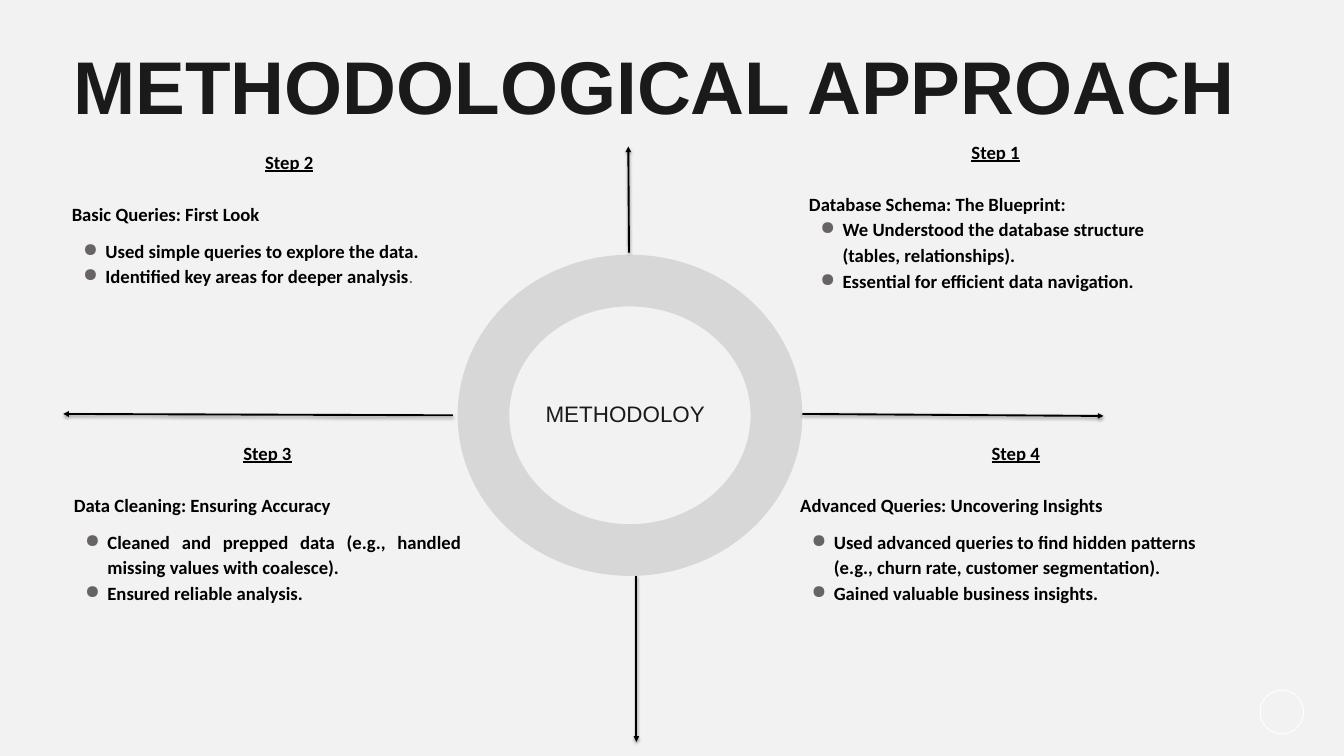
import dataclasses

import lxml.etree
import pptx
import pptx.dml.color
import pptx.enum.shapes
import pptx.enum.text
import pptx.oxml
import pptx.oxml.ns
import pptx.shapes.autoshape
import pptx.shapes.connector
import pptx.slide
import pptx.text.text
import pptx.util

RGBColor = pptx.dml.color.RGBColor
BACKGROUND = RGBColor(0xF2, 0xF2, 0xF2)
BLACK = RGBColor(0, 0, 0)
WHITE = RGBColor(0xFF, 0xFF, 0xFF)
HEADING = RGBColor(0x1A, 0x1A, 0x1A)
GREY = RGBColor(0x69, 0x64, 0x64)

ALIGN = pptx.enum.text.PP_ALIGN
SHAPE = pptx.enum.shapes.MSO_SHAPE
CELL = pptx.util.Inches(0.25)  # The slide is a grid of 80 columns and 45 rows
COLUMNS, ROWS = 80, 45
LINE_SPACING = 1.15
BLANK_LINE = 28


@dataclasses.dataclass(frozen=True)
class Box:
    column: float
    row: float
    columns: float
    rows: float

    def lengths(self) -> list[int]:
        return [round(value * CELL) for value in dataclasses.astuple(self)]


@dataclasses.dataclass(frozen=True)
class Step:
    box: Box
    name: str
    heading: str
    bullets: tuple[str, ...]
    align: ALIGN = ALIGN.LEFT
    bullet_gap: float = 12
    grey_ending: str = ""


@dataclasses.dataclass(frozen=True)
class Arrow:
    start: tuple[float, float]
    end: tuple[float, float]


STEPS = (
    Step(Box(47.24, 25.68, 26.44, 13.24), "Step 4", "Advanced Queries: Uncovering Insights",
         ("Used advanced queries to find hidden patterns (e.g., churn rate, customer segmentation).",
          "Gained valuable business insights.")),
    Step(Box(4, 25.68, 23.84, 12.36), "Step 3", "Data Cleaning: Ensuring Accuracy",
         ("Cleaned and prepped data (e.g., handled missing values with coalesce).",
          "Ensured reliable analysis."), align=ALIGN.JUSTIFY),
    Step(Box(3.88, 8.36, 26.68, 10.8), "Step 2", "Basic Queries: First Look",
         ("Used simple queries to explore the data.",
          "Identified key areas for deeper analysis"), grey_ending="."),
    Step(Box(47.76, 7.76, 23, 10.52), "Step 1", "Database Schema: The Blueprint:",
         ("We Understood the database structure (tables, relationships).",
          "Essential for efficient data navigation."), bullet_gap=0),
)
ARROWS = (
    Arrow((26.96, 24.72), (3.76, 24.64)),
    Arrow((47.76, 24.64), (65.68, 24.76)),
    Arrow((37.88, 34.28), (37.88, 44.16)),
    Arrow((37.44, 15.04), (37.4, 8.72)),
)


def add_element(parent: lxml.etree._Element, tag: str, **attributes: str) -> lxml.etree._Element:
    return lxml.etree.SubElement(parent, pptx.oxml.ns.qn(tag), attributes)


def add_run(paragraph: pptx.text.text._Paragraph, text: str, size: float, font_name: str,
            color: RGBColor, bold: bool = False, underline: bool = False) -> None:
    run = paragraph.add_run()
    run.text = text
    font = run.font
    font.size = pptx.util.Pt(size)
    font.name = font_name
    font.color.rgb = color
    font.bold = bold
    font.underline = underline


def add_text_frame(slide: pptx.slide.Slide, box: Box, side_inset: float, end_inset: float,
                   grows: bool = False) -> pptx.text.text.TextFrame:
    frame = slide.shapes.add_textbox(*box.lengths()).text_frame
    frame.word_wrap = True
    frame.margin_left = frame.margin_right = pptx.util.Inches(side_inset)
    frame.margin_top = frame.margin_bottom = pptx.util.Inches(end_inset)
    if grows:
        frame.auto_size = pptx.enum.text.MSO_AUTO_SIZE.SHAPE_TO_FIT_TEXT
    return frame


def add_shape(slide: pptx.slide.Slide, kind: SHAPE, box: Box) -> pptx.shapes.autoshape.Shape:
    shape = slide.shapes.add_shape(kind, *box.lengths())
    shape.shadow.inherit = False
    return shape


def format_paragraph(paragraph: pptx.text.text._Paragraph, align: ALIGN, space_before: float = 0) -> None:
    paragraph.alignment = align
    paragraph.line_spacing = LINE_SPACING
    paragraph.space_before = pptx.util.Pt(space_before)


def add_bullet(paragraph: pptx.text.text._Paragraph) -> None:
    properties = paragraph._p.get_or_add_pPr()
    properties.set("marL", str(pptx.util.Inches(0.5)))
    properties.set("indent", str(pptx.util.Inches(-0.33)))
    add_element(add_element(properties, "a:buClr"), "a:srgbClr", val=str(GREY))
    add_element(properties, "a:buChar", char="●")


def add_step(slide: pptx.slide.Slide, step: Step) -> None:
    frame = add_text_frame(slide, step.box, 0.1, 0.1)
    paragraph = frame.paragraphs[0]
    format_paragraph(paragraph, ALIGN.CENTER)
    add_run(paragraph, step.name, 20, "Calibri", BLACK, bold=True, underline=True)

    paragraph = frame.add_paragraph()
    format_paragraph(paragraph, step.align, BLANK_LINE)
    add_run(paragraph, step.heading, 20, "Calibri", BLACK, bold=True)

    for index, bullet in enumerate(step.bullets):
        paragraph = frame.add_paragraph()
        format_paragraph(paragraph, step.align, 0 if index else step.bullet_gap)
        add_bullet(paragraph)
        add_run(paragraph, bullet, 20, "Calibri", BLACK, bold=True)
    if step.grey_ending:
        add_run(paragraph, step.grey_ending, 20, "Calibri", GREY)


def add_arrow(slide: pptx.slide.Slide, arrow: Arrow) -> None:
    """Draw a line with a triangle at its end and a soft shadow below it."""
    ends = [round(value * CELL) for value in arrow.start + arrow.end]
    connector = slide.shapes.add_connector(pptx.enum.shapes.MSO_CONNECTOR.STRAIGHT, *ends)
    connector.line.color.rgb = BLACK
    connector.line.width = pptx.util.Pt(2)
    add_element(connector.line._get_or_add_ln(), "a:tailEnd", type="triangle")
    effects = add_element(connector._element.spPr, "a:effectLst")
    shadow = add_element(effects, "a:outerShdw", blurRad=str(pptx.util.Pt(3.1)),
                         dist=str(pptx.util.Pt(1.6)), dir="5400000", rotWithShape="0")
    add_element(add_element(shadow, "a:srgbClr", val=str(BLACK)), "a:alpha", val="38000")


def add_ring(slide: pptx.slide.Slide) -> None:
    ring = add_shape(slide, SHAPE.DONUT, Box(27.24, 15.16, 20.52, 19.12))
    ring.adjustments[0] = 0.161
    ring.fill.solid()
    ring.fill.fore_color.rgb = BLACK
    color = ring._element.spPr.find(".//" + pptx.oxml.ns.qn("a:srgbClr"))
    add_element(color, "a:alpha", val="11000")
    ring.line.fill.background()


def main() -> None:
    presentation = pptx.Presentation()
    presentation.slide_width = COLUMNS * CELL
    presentation.slide_height = ROWS * CELL
    slide = presentation.slides.add_slide(presentation.slide_layouts[6])
    slide.background.fill.solid()
    slide.background.fill.fore_color.rgb = BACKGROUND

    corner_circle = add_shape(slide, SHAPE.OVAL, Box(75, 41.08, 2.6, 2.6))
    corner_circle.fill.background()
    corner_circle.line.color.rgb = WHITE
    corner_circle.line.width = pptx.util.Pt(1)

    title = add_text_frame(slide, Box(2.2, 1.36, 73.52, 6.4), 0, 0, grows=True).paragraphs[0]
    title.alignment = ALIGN.CENTER
    title.line_spacing = 1.19
    add_run(title, "METHODOLOGICAL APPROACH", 80, "Arial", HEADING, bold=True)

    for step in STEPS:
        add_step(slide, step)
    add_ring(slide)
    label = add_text_frame(slide, Box(32.08, 23.64, 10.84, 2), 0.1, 0.05, grows=True)
    add_run(label.paragraphs[0], "METHODOLOY", 24, "Arial", HEADING)
    for arrow in ARROWS:
        add_arrow(slide, arrow)

    presentation.save("out.pptx")


if __name__ == "__main__":
    main()
